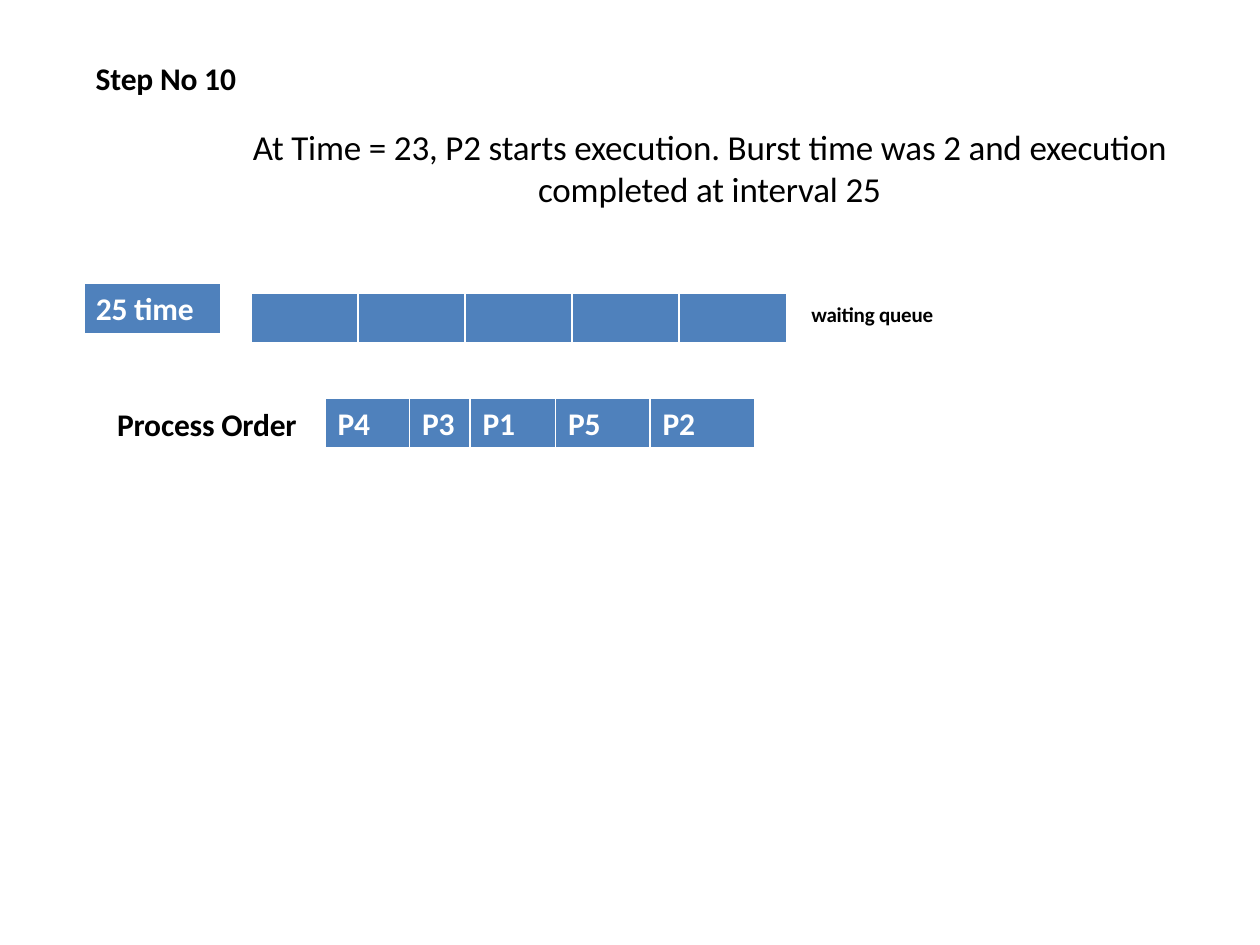
import pptx
import pptx.dml.color
import pptx.enum.shapes
import pptx.enum.text
import pptx.oxml
import pptx.oxml.ns
import pptx.util

COLUMNS, ROWS = 100, 75
BLUE, WHITE, BLACK = "4F81BC", "FFFFFF", "000000"
THIN, THICK = 1, 3
NS = pptx.oxml.ns.nsdecls("a")


def color(hex_text):
    return pptx.dml.color.RGBColor.from_string(hex_text)


def apply(target, values):
    for name, value in values.items():
        setattr(target, name, value)


class SlideBuilder:
    font_name = "Calibri"
    tracking = "-10"

    def __init__(self, deck):
        self.slide = deck.slides.add_slide(deck.slide_layouts[6])
        self.column = deck.slide_width / COLUMNS
        self.row = deck.slide_height / ROWS

    def x(self, columns):
        return round(columns * self.column)

    def y(self, rows):
        return round(rows * self.row)

    def box(self, left, top, width, height):
        return self.x(left), self.y(top), self.x(width), self.y(height)

    def words(self, paragraph, wording, size, ink, bold):
        run = paragraph.add_run()
        run.text = wording
        apply(run.font, {"name": self.font_name, "size": pptx.util.Pt(size), "bold": bold})
        run.font.color.rgb = color(ink)
        run.font._element.set("spc", self.tracking)

    def text(self, place, lines, size=18, ink=BLACK, bold=True, indent=0, align="LEFT"):
        frame = self.slide.shapes.add_textbox(*self.box(*place)).text_frame
        apply(frame, {
            "word_wrap": True,
            "margin_left": self.x(indent),
            "margin_top": self.y(0.25),
            "margin_right": 0,
            "margin_bottom": 0,
        })
        for number, line in enumerate(lines):
            paragraph = frame.add_paragraph() if number else frame.paragraphs[0]
            paragraph.alignment = getattr(pptx.enum.text.PP_ALIGN, align)
            self.words(paragraph, line, size, ink, bold)

    def panel(self, place, fill):
        panel = self.slide.shapes.add_shape(
            pptx.enum.shapes.MSO_SHAPE.RECTANGLE, *self.box(*place))
        panel.shadow.inherit = False
        panel.fill.solid()
        panel.fill.fore_color.rgb = color(fill)
        panel.line.fill.background()

    def line(self, start, end, ink, weight):
        line = self.slide.shapes.add_connector(
            pptx.enum.shapes.MSO_CONNECTOR.STRAIGHT,
            self.x(start[0]), self.y(start[1]), self.x(end[0]), self.y(end[1]))
        line.line.color.rgb = color(ink)
        line.line.width = pptx.util.Pt(weight)
        line._element.spPr.append(pptx.oxml.parse_xml(f"<a:effectLst {NS}/>"))

    def borders(self, cell):
        properties = cell._tc.get_or_add_tcPr()
        for position, side in enumerate("LRTB"):
            weight = pptx.util.Pt(THICK if side == "B" else THIN)
            properties.insert(position, pptx.oxml.parse_xml(
                f'<a:ln{side} {NS} w="{weight}"><a:solidFill>'
                f'<a:srgbClr val="{WHITE}"/></a:solidFill></a:ln{side}>'))

    def table(self, left, top, widths, height, labels):
        place = self.box(left, top, sum(widths), height)
        table = self.slide.shapes.add_table(1, len(widths), *place).table
        table.rows[0].height = self.y(height)
        for column, width, cell, label in zip(
                table.columns, widths, table.rows[0].cells, labels):
            column.width = self.x(width)
            apply(cell, {
                "margin_left": self.x(1),
                "margin_top": self.y(0.6),
                "margin_right": 0,
                "margin_bottom": 0,
            })
            cell.fill.solid()
            cell.fill.fore_color.rgb = color(BLUE)
            self.borders(cell)
            if label:
                self.words(cell.text_frame.paragraphs[0], label, 18, WHITE, True)


def main():
    deck = pptx.Presentation()
    apply(deck, {"slide_width": pptx.util.Inches(10), "slide_height": pptx.util.Inches(7.5)})
    builder = SlideBuilder(deck)

    builder.text((7.5, 4.4, 11.5, 3.3), ["Step No 10"], indent=0.1)
    builder.text(
        (7, 9.7, 86.1, 6.9),
        ["At Time = 23, P2 starts execution. Burst time was 2 and execution",
         "completed at interval 25"],
        size=20, bold=False, indent=12.5, align="CENTER")

    builder.text((64.3, 23.7, 10.2, 2.3), ["waiting queue"], size=12, indent=0.1)
    builder.table(19.9, 23.3, [8.5] * 5, 4, [""] * 5)

    left, top, width, height = clock = (6.7, 22.5, 10.8, 4.1)
    right, bottom = left + width, top + height
    builder.panel(clock, BLUE)
    for start, end, weight in [
        ((left, top), (left, bottom), THIN),
        ((right, top), (right, bottom), THIN),
        ((left, top), (right, top), THIN),
        ((left, bottom), (right, bottom), THICK),
    ]:
        builder.line(start, end, WHITE, weight)
    builder.text((left, 22.7, width, 3.3), ["25 time"], ink=WHITE, indent=0.9)

    builder.text((9.2, 31.9, 14.7, 3.3), ["Process Order"], indent=0.1)
    builder.table(25.8, 31.6, [6.7, 4.8, 6.8, 7.5, 8.3], 4.1, ["P4", "P3", "P1", "P5", "P2"])

    deck.save("out.pptx")


if __name__ == "__main__":
    main()
